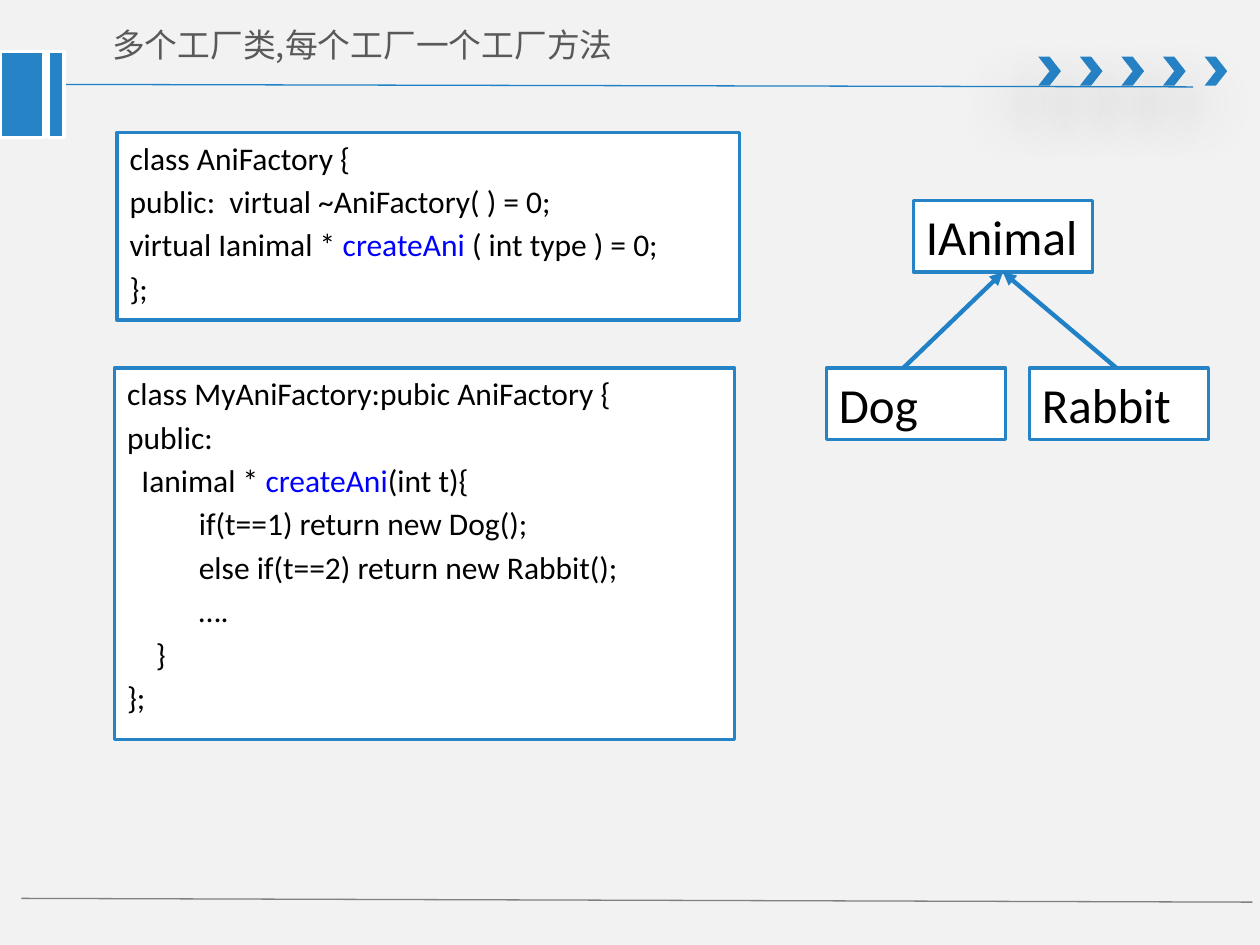
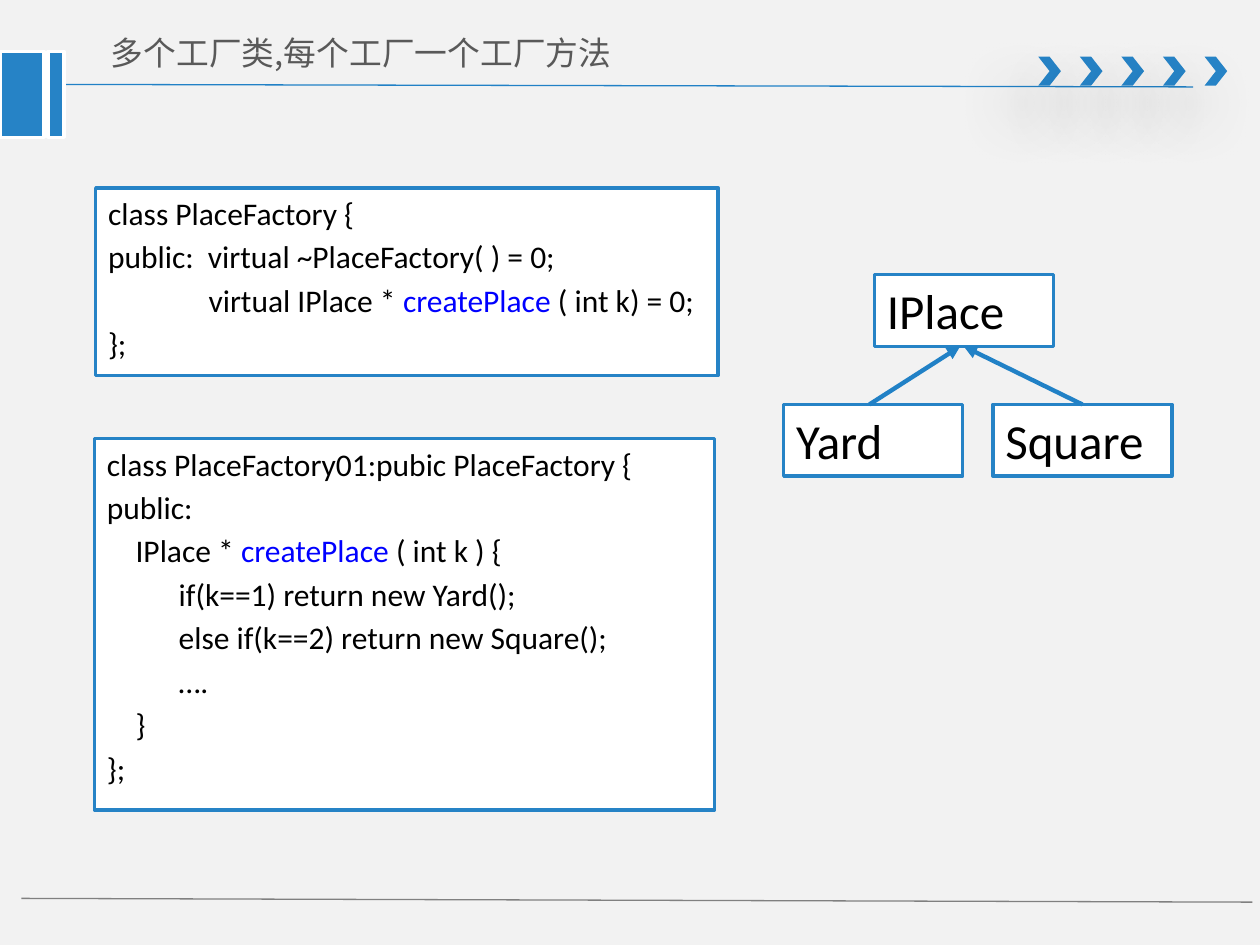
from pptx import Presentation
from pptx.dml.color import RGBColor
from pptx.enum.shapes import MSO_CONNECTOR, MSO_SHAPE
from pptx.enum.text import MSO_ANCHOR, PP_ALIGN
from pptx.oxml import parse_xml
from pptx.oxml.ns import nsdecls, qn
from pptx.util import Emu, Inches, Pt
from lxml.etree import SubElement

THEME = {
    "page": "F2F2F2", "accent": "2683C6", "rule": "2181C6", "foot": "808080",
    "title": "595959", "paper": "FFFFFF", "ink": "000000", "method": "0000FF",
    "title_font": "Noto Sans CJK SC", "font": "Calibri",
    "title_size": 18.7, "code_size": 18, "node_size": 28,
    "hairline": 0.75, "border": 2, "arrow": 2.5,
}
COLS, ROWS = 100, 75  # the slide as a grid of square cells
SPACE = 0.57          # width of one code space, in columns
NODE_W, NODE_H = 14.2, 5.7


def grid(*cells):
    return [Emu(round(c * Inches(10) / COLS)) for c in cells]


def rgb(name):
    return RGBColor.from_string(THEME[name])


def apply(obj, values):
    for name, value in values.items():
        setattr(obj, name, value)


def add_run(p, text, size, color, font="font"):
    r = p.add_run()
    r.text = text
    apply(r.font, {"name": THEME[font], "size": Pt(THEME[size])})
    r.font.color.rgb = rgb(color)
    SubElement(r.font._element, qn("a:ea"), typeface=THEME[font])


def add_box(s, box, fill, line=None, kind=MSO_SHAPE.RECTANGLE):
    sp = s.shapes.add_shape(kind, *grid(*box))
    sp.shadow.inherit = False
    sp.fill.solid()
    sp.fill.fore_color.rgb = rgb(fill)
    if line:
        sp.line.color.rgb = rgb(line)
        sp.line.width = Pt(THEME["border"])
    else:
        sp.line.fill.background()
    return sp


def add_line(s, start, end, color, width, arrow=False):
    ln = s.shapes.add_connector(MSO_CONNECTOR.STRAIGHT, *grid(*start, *end))
    ln.line.color.rgb = rgb(color)
    ln.line.width = Pt(THEME[width])
    if arrow:
        SubElement(ln.line._get_or_add_ln(), qn("a:tailEnd"), type="triangle")
    SubElement(ln.element.spPr, qn("a:effectLst"))
    return ln


def add_shadow(sp):
    effects = sp.element.spPr.find(qn("a:effectLst"))
    effects.append(parse_xml(
        f'<a:outerShdw {nsdecls("a")} blurRad="{Pt(36)}" dist="{Pt(24)}" '
        f'dir="{130 * 60000}" rotWithShape="0"><a:srgbClr val="{THEME["ink"]}">'
        '<a:alpha val="38000"/></a:srgbClr></a:outerShdw>'))


def decorate(s, layout):
    """Draw the shared bands once and hand them to the layout."""
    parts = [add_line(s, (4, 6.7), (94.7, 6.9), "rule", "hairline")]
    # Chevrons at the top right
    for i in range(5):
        chevron = add_box(s, (82.4 + 3.3 * i, 4.5, 1.8, 2.3), "accent",
                          kind=MSO_SHAPE.CHEVRON)
        add_shadow(chevron)
        parts.append(chevron)
    # Footer rule and the left tabs
    parts.append(add_line(s, (1.7, 71.3), (99.4, 71.6), "foot", "hairline"))
    for x, w in ((0, 3.5), (3.8, 1.3)):
        parts.append(add_box(s, (x, 4.1, w, 6.8), "accent", "paper"))
    for i, part in enumerate(parts):
        part.element.xpath(".//p:cNvPr")[0].set("id", str(100 + i))
        layout.shapes.element.insert(2 + i, part.element)


def title(s, box, text):
    sp = s.shapes.title
    apply(sp, dict(zip(("left", "top", "width", "height"), grid(*box))))
    side, end = Inches(0.14), Inches(0.07)
    apply(sp.text_frame, {
        "margin_left": side, "margin_right": side, "margin_top": end,
        "margin_bottom": end, "vertical_anchor": MSO_ANCHOR.MIDDLE,
        "word_wrap": True})
    p = sp.text_frame.paragraphs[0]
    p.alignment = PP_ALIGN.LEFT
    add_run(p, text, "title_size", "title", "title_font")


def text_box(s, box, lines, size, method=None):
    """Bordered box; each line is (indent in spaces, text)."""
    tf = add_box(s, box, "paper", "accent").text_frame
    apply(tf, {"vertical_anchor": MSO_ANCHOR.TOP, "word_wrap": True})
    for i, (indent, text) in enumerate(lines):
        p = tf.add_paragraph() if i else tf.paragraphs[0]
        apply(p, {"alignment": PP_ALIGN.LEFT,
                  "space_before": Pt(round(0.18 * THEME[size], 1))})
        if indent:
            p._p.get_or_add_pPr().set("marL", str(grid(indent * SPACE)[0]))
        before, name, after = text.partition(method) if method else (text, "", "")
        for part, color in ((before, "ink"), (name, "method"), (after, "ink")):
            if part:
                add_run(p, part, size, color)


def class_tree(s, box, names, parent_x, feet, tips):
    """Parent on top, children in the lower corners, arrows upwards."""
    x, y, w, h = box
    low = y + h - NODE_H
    spots = ((x + parent_x, y), (x, low), (x + w - NODE_W, low))
    for name, spot in zip(names, spots):
        text_box(s, (*spot, NODE_W, NODE_H), [(0, name)], "node_size")
    for foot, tip in zip(feet, tips):
        add_line(s, (x + foot, low), (x + tip, y + NODE_H), "rule", "arrow", True)


def factory_code(product, factory, derived, method, header, body, kinds):
    """Lines of the abstract factory and of the derived one."""
    var, indent, call = body
    abstract = [(0, f"class {factory} {{"),
                (0, f"public:  virtual ~{factory}( ) = 0;"),
                (header[0], f"virtual {product} * {method} {header[1]} = 0;"),
                (0, "};")]
    concrete = [(0, f"class {derived}:pubic {factory} {{"),
                (0, "public:"),
                (indent, f"{product} * {method}{call}"),
                (10, f"if({var}==1) return new {kinds[0]}();"),
                (10, f"else if({var}==2) return new {kinds[1]}();"),
                (10, "…."),
                (4, "}"),
                (0, "};")]
    return abstract, concrete


SLIDES = [
    {"title": (7.5, 0.8, 52.5, 5.5), "method": "createAni",
     "code": ("Ianimal", "AniFactory", "MyAniFactory", "createAni",
              (0, "( int type )"), ("t", 2, "(int t){"), ("Dog", "Rabbit")),
     "boxes": ((9.3, 10.5, 49.4, 14.9), (9.1, 29.2, 49.2, 29.5)),
     "tree": ((65.6, 15.9, 30.3, 19), ("IAnimal", "Dog", "Rabbit"),
              6.9, (6.1, 23), (14, 14))},
    {"title": (7.4, 1.4, 53.4, 5.5), "method": "createPlace",
     "code": ("IPlace", "PlaceFactory", "PlaceFactory01", "createPlace",
              (14, "( int k)"), ("k", 4, " ( int k ) {"), ("Yard", "Square")),
     "boxes": ((7.6, 14.9, 49.4, 14.9), (7.5, 34.8, 49.2, 29.5)),
     "tree": ((62.2, 21.8, 30.8, 16), ("IPlace", "Yard", "Square"),
              7.2, (6.8, 23.7), (14, 14.3))},
]

prs = Presentation()
prs.slide_width, prs.slide_height = grid(COLS, ROWS)
layout = prs.slide_layouts[5]
fill = prs.slide_master.background.fill
fill.solid()
fill.fore_color.rgb = rgb("page")

for n, page in enumerate(SLIDES):
    s = prs.slides.add_slide(layout)
    if n == 0:
        decorate(s, layout)
    title(s, page["title"], "多个工厂类,每个工厂一个工厂方法")
    class_tree(s, *page["tree"])
    for box, lines in zip(page["boxes"], factory_code(*page["code"])):
        text_box(s, box, lines, "code_size", page["method"])

prs.save("out.pptx")
